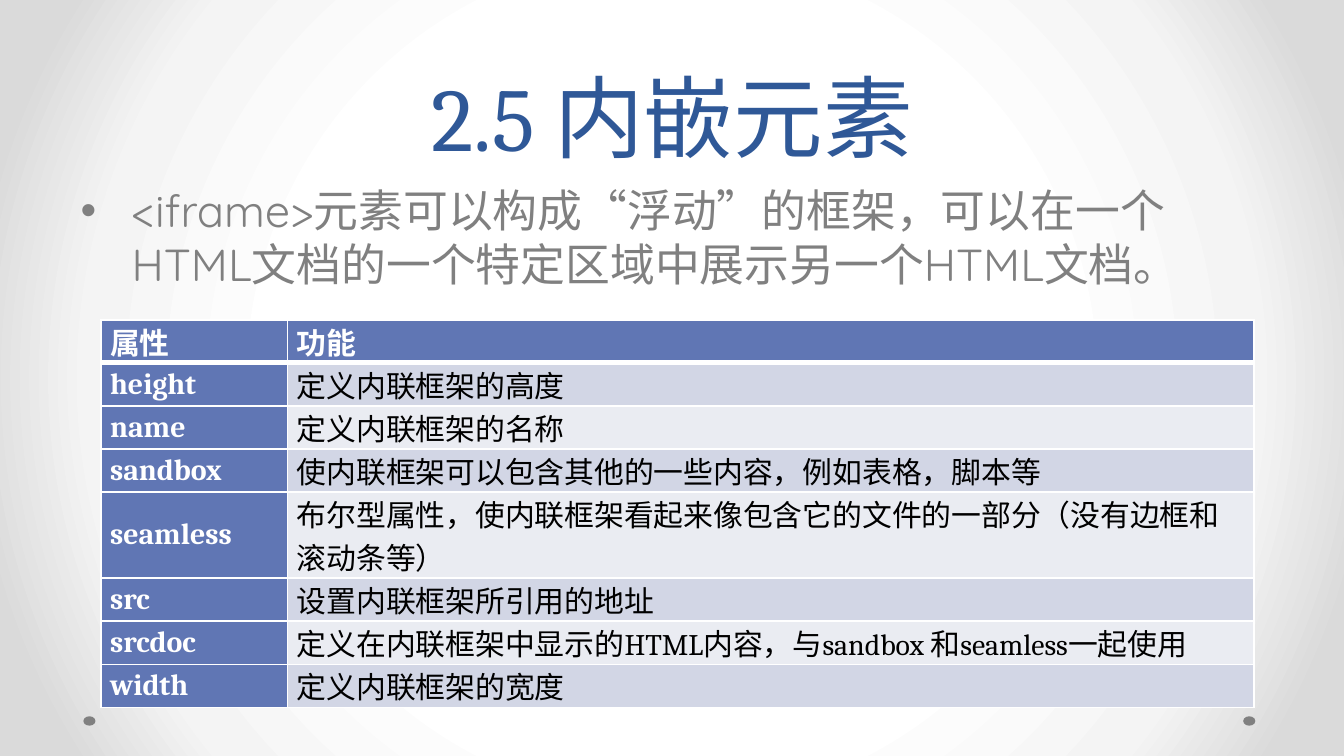
from lxml import etree
from pptx import Presentation
from pptx.dml.color import RGBColor
from pptx.enum.shapes import MSO_SHAPE
from pptx.enum.text import MSO_ANCHOR, MSO_AUTO_SIZE, PP_ALIGN
from pptx.oxml import parse_xml
from pptx.oxml.ns import nsdecls, qn
from pptx.util import Inches, Pt

OVAL = MSO_SHAPE.OVAL
MIDDLE, BOTTOM, TOP = MSO_ANCHOR.MIDDLE, MSO_ANCHOR.BOTTOM, MSO_ANCHOR.TOP
NO_FIT = MSO_AUTO_SIZE.NONE
CENTER = PP_ALIGN.CENTER

WHITE = RGBColor(0xFF, 0xFF, 0xFF)
BLACK = RGBColor(0x00, 0x00, 0x00)
GRAY = RGBColor(0x80, 0x80, 0x80)
TITLE_BLUE = RGBColor(0x2F, 0x58, 0x97)
HEADER_BLUE = RGBColor(0x60, 0x76, 0xB4)
BAND_DARK = RGBColor(0xD2, 0xD6, 0xE5)
BAND_LIGHT = RGBColor(0xEA, 0xEC, 0xF2)
BACKGROUND_STOPS = [
    (50, WHITE),
    (76, RGBColor(0xF4, 0xF4, 0xF4)),
    (92, RGBColor(0xDA, 0xDA, 0xDA)),
]

ROWS = [
    ("属性", "功能"),
    ("height", "定义内联框架的高度"),
    ("name", "定义内联框架的名称"),
    ("sandbox", "使内联框架可以包含其他的一些内容，例如表格，脚本等"),
    ("seamless", "布尔型属性，使内联框架看起来像包含它的文件的一部分（没有边框和滚动条等）"),
    ("src", "设置内联框架所引用的地址"),
    ("srcdoc", "定义在内联框架中显示的HTML内容，与sandbox 和seamless一起使用"),
    ("width", "定义内联框架的宽度"),
]


def add_run(p, text, size, font, color, bold=False):
    r = p.add_run()
    r.text = text
    r.font.size = Pt(size)
    r.font.name = font
    r.font.color.rgb = color
    r.font.bold = bold


def set_borders(cell, bottom):
    """Draw white cell borders, 1 pt except for the given bottom width."""
    tc_pr = cell._tc.get_or_add_tcPr()
    for i, (side, width) in enumerate([("L", 1), ("R", 1), ("T", 1), ("B", bottom)]):
        tc_pr.insert(i, parse_xml(
            f'<a:ln{side} {nsdecls("a")} w="{Pt(width)}"><a:solidFill>'
            f'<a:srgbClr val="{WHITE}"/></a:solidFill></a:ln{side}>'))


# 16:9 slide
prs = Presentation()
prs.slide_width = Inches(10)
prs.slide_height = prs.slide_width * 9 // 16
s = prs.slides.add_slide(prs.slide_layouts[1])

# Radial background
s.background.fill.gradient()
old_gradient = s.element.find(".//" + qn("a:gradFill"))
stops = "".join(f'<a:gs pos="{pos * 1000}"><a:srgbClr val="{color}"/></a:gs>'
                for pos, color in BACKGROUND_STOPS)
old_gradient.getparent().replace(old_gradient, parse_xml(
    f'<a:gradFill {nsdecls("a")} rotWithShape="1"><a:gsLst>{stops}</a:gsLst>'
    '<a:path path="circle"><a:fillToRect l="50000" t="50000" r="50000" b="50000"/>'
    '</a:path></a:gradFill>'))

# Corner dots
for left in (9.25, 0.62):
    dot = s.shapes.add_shape(OVAL, Inches(left), Inches(5.33), Inches(0.09), Inches(0.07))
    dot.shadow.inherit = False
    dot.fill.solid()
    dot.fill.fore_color.rgb = GRAY
    dot.line.fill.background()

# Title
title = s.shapes.title
title.left, title.top = Inches(0.5), Inches(0)
title.width, title.height = Inches(9), Inches(1.31)
tf = title.text_frame
tf.auto_size = NO_FIT
tf.vertical_anchor = BOTTOM
p = tf.paragraphs[0]
p.alignment = CENTER
p.line_spacing = Pt(58)
add_run(p, "2.5 内嵌元素", 48, "Cambria", TITLE_BLUE)

# Bulleted description
body = s.placeholders[1]
body.left, body.top = Inches(0.5), Inches(1.31)
body.width, body.height = Inches(9), Inches(3.71)
tf = body.text_frame
tf.auto_size = NO_FIT
tf.vertical_anchor = TOP
p = tf.paragraphs[0]
p_pr = p._p.get_or_add_pPr()
p_pr.set("marL", str(Inches(0.38)))
p_pr.set("indent", str(Inches(-0.38)))
etree.SubElement(p_pr, qn("a:buChar"), char="•")
p.line_spacing = 1.0
p.space_before = Pt(0)
add_run(p, "<iframe>元素可以构成“浮动”的框架，可以在一个HTML文档的一个特定区域中展示另一个HTML文档。",
        24, "Quicksand", GRAY)

# Attribute table
table = s.shapes.add_table(len(ROWS), 2, Inches(0.75), Inches(2.38),
                           Inches(8.58), Inches(0.31 * len(ROWS))).table
table.columns[0].width = Inches(1.39)
table.columns[1].width = Inches(7.19)
for row, texts in enumerate(ROWS):
    table.rows[row].height = Inches(0.31)
    for col, text in enumerate(texts):
        cell = table.cell(row, col)
        heading = row == 0 or col == 0
        band = BAND_DARK if row % 2 else BAND_LIGHT
        cell.fill.solid()
        cell.fill.fore_color.rgb = HEADER_BLUE if heading else band
        cell.vertical_anchor = MIDDLE
        cell.margin_left = cell.margin_right = Inches(0.07)
        cell.margin_top = cell.margin_bottom = Inches(0)
        set_borders(cell, bottom=3 if row == 0 else 1)
        add_run(cell.text_frame.paragraphs[0], text, 16, "Cambria",
                WHITE if heading else BLACK, heading)

prs.save("out.pptx")
